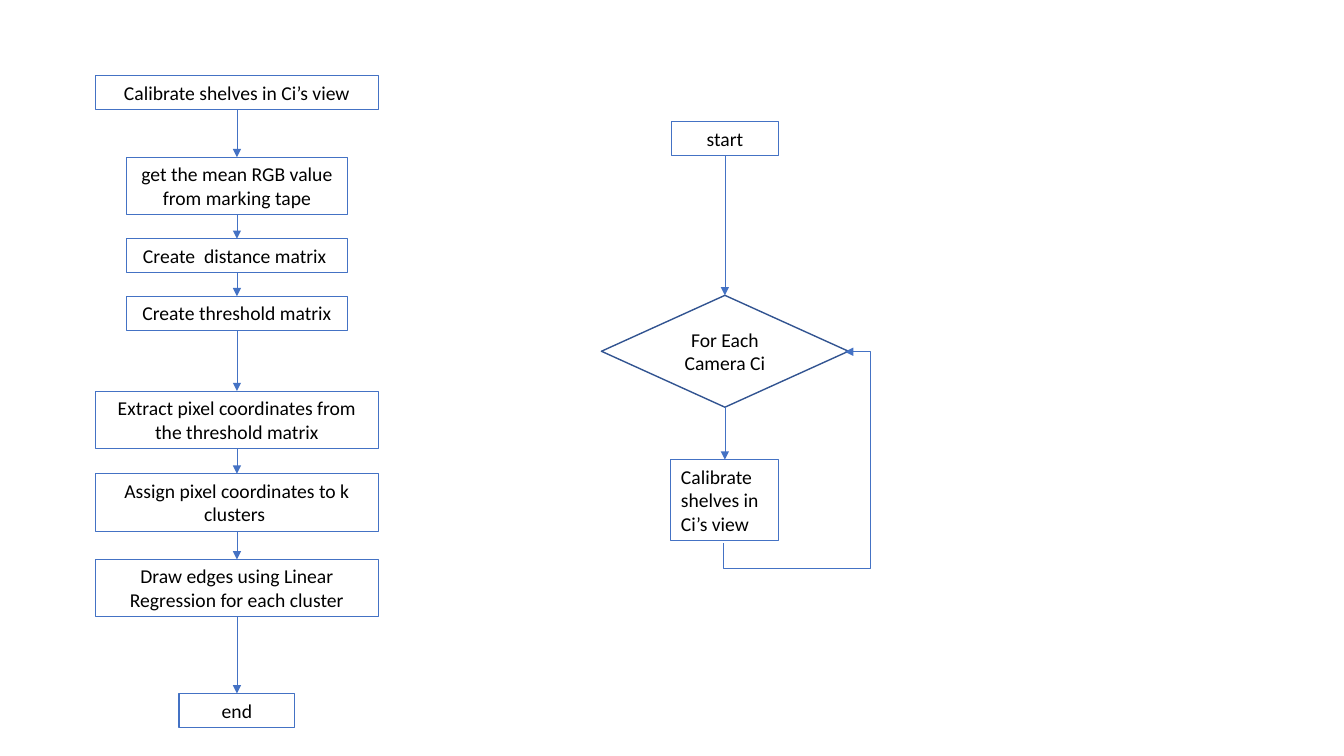
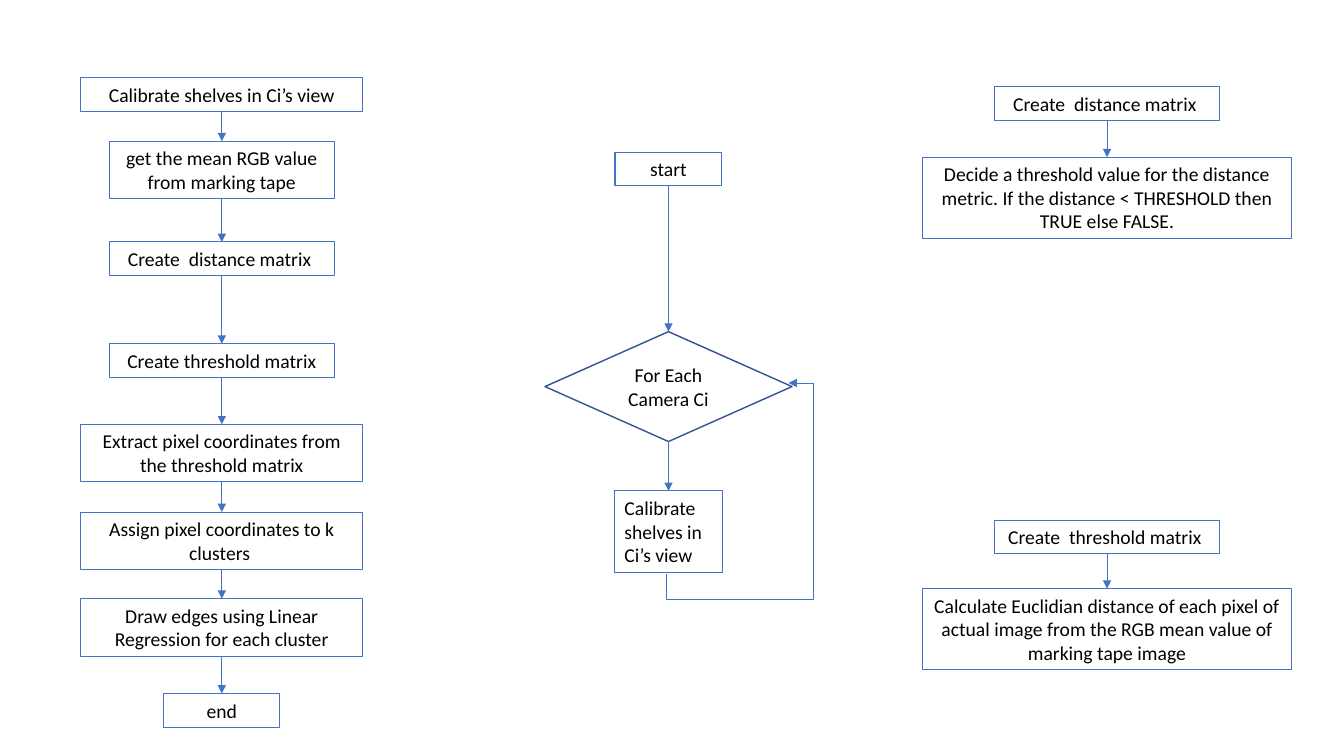
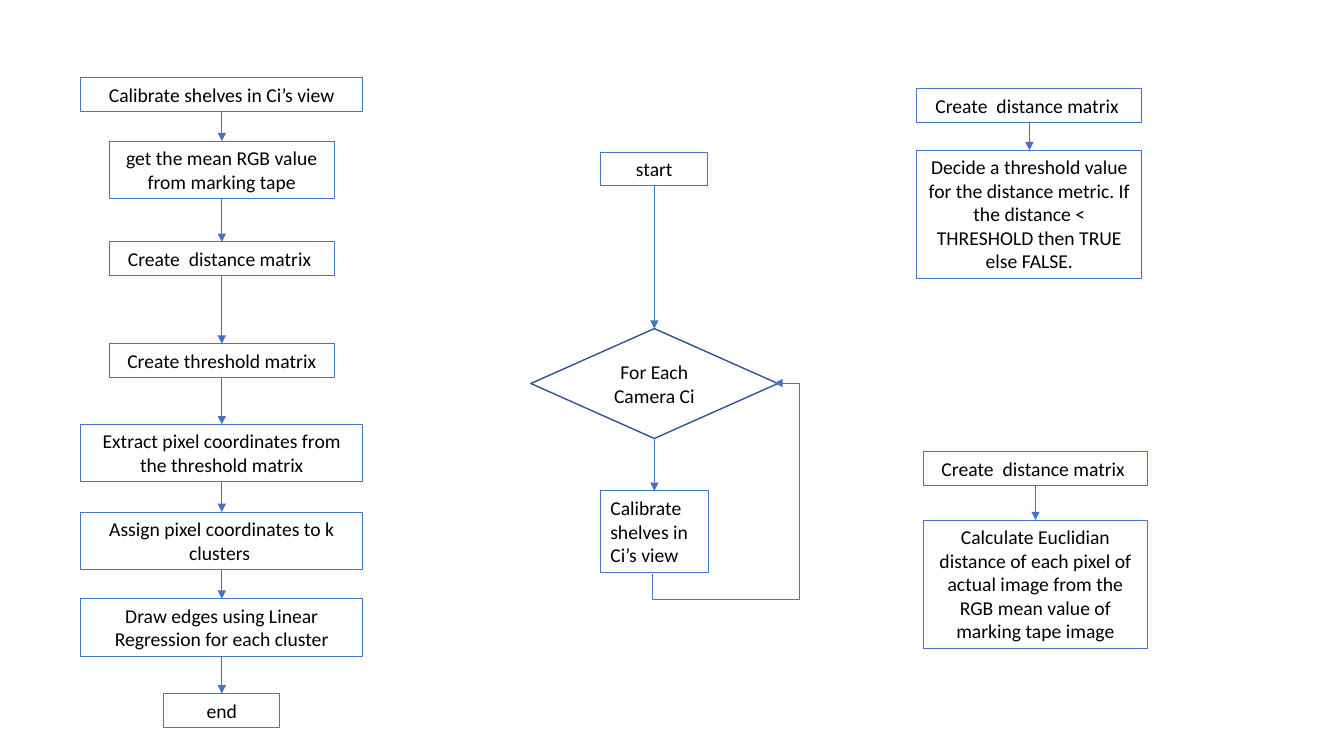
from lxml import etree
from pptx import Presentation
from pptx.dml.color import RGBColor
from pptx.enum.shapes import MSO_CONNECTOR, MSO_SHAPE
from pptx.enum.text import MSO_ANCHOR, MSO_AUTO_SIZE, PP_ALIGN
from pptx.oxml.ns import qn
from pptx.util import Inches, Pt

STRAIGHT, ELBOW = MSO_CONNECTOR.STRAIGHT, MSO_CONNECTOR.ELBOW
DECISION = MSO_SHAPE.FLOWCHART_DECISION
MIDDLE = MSO_ANCHOR.MIDDLE
GROW = MSO_AUTO_SIZE.SHAPE_TO_FIT_TEXT
LEFT, CENTER = PP_ALIGN.LEFT, PP_ALIGN.CENTER

# Shared style
FONT, SIZE = "Calibri", 14
BLUE, NAVY, WHITE, BLACK = "4472C4", "325491", "FFFFFF", "000000"
PADDING, LINE_HEIGHT = 0.1, 0.235
TOP_SITE, BOTTOM_SITE = 0, 2

# Wording; the number is the count of text lines
CALIBRATE = "Calibrate shelves in Ci’s view"
DISTANCE = "Create  distance matrix "
STEPS = [
    (CALIBRATE, 1),
    ("get the mean RGB value from marking tape", 2),
    (DISTANCE, 1),
    ("Create threshold matrix", 1),
    ("Extract pixel coordinates from the threshold matrix", 2),
    ("Assign pixel coordinates to k clusters ", 2),
    ("Draw edges using Linear Regression for each cluster", 2),
    ("end", 1),
]
DECIDE = ("Decide a threshold value for the distance metric. "
          "If the distance < THRESHOLD then TRUE else FALSE.")
CALCULATE = ("Calculate Euclidian distance of each pixel of actual image "
             "from the RGB mean value of marking tape image")


def color(value):
    return RGBColor.from_string(value)


def outline(sp, value, width):
    sp.line.color.rgb = color(value)
    sp.line.width = Pt(width)


def write(sp, text, align=CENTER):
    tf = sp.text_frame
    tf.word_wrap = True
    p = tf.paragraphs[0]
    p.text = text
    p.alignment = align
    p.font.name, p.font.size = FONT, Pt(SIZE)
    p.font.color.rgb = color(BLACK)
    return tf


def step_box(slide, cx, top, width, lines, text, align=CENTER):
    """Outlined text box centred on cx, as tall as its lines."""
    height = PADDING + LINE_HEIGHT * lines
    sp = slide.shapes.add_textbox(Inches(cx - width / 2), Inches(top),
                                  Inches(width), Inches(height))
    outline(sp, BLUE, 0.75)
    write(sp, text, align).auto_size = GROW
    return sp


def connector(slide, kind, x1, y1, x2, y2):
    """Thin blue connector with an arrowhead at its end."""
    cxn = slide.shapes.add_connector(
        kind, Inches(x1), Inches(y1), Inches(x2), Inches(y2))
    outline(cxn, BLUE, 0.5)
    etree.SubElement(cxn.line._get_or_add_ln(), qn("a:tailEnd"),
                     type="triangle")
    etree.SubElement(cxn._element.spPr, qn("a:effectLst"))
    return cxn


def arrow(slide, upper, lower):
    cxn = connector(slide, STRAIGHT, 0, 0, 1, 1)
    cxn.begin_connect(upper, BOTTOM_SITE)
    cxn.end_connect(lower, TOP_SITE)


def chain(slide, cx, steps):
    """Boxes below one another, each joined to the next."""
    boxes = [step_box(slide, cx, *step) for step in steps]
    for upper, lower in zip(boxes, boxes[1:]):
        arrow(slide, upper, lower)


def calibration_column(slide, cx, tops, detail_width):
    widths = [2.8] + [detail_width] * 3 + [2.8] * 3 + [1.15]
    chain(slide, cx, [(top, width, lines, text) for top, width, (text, lines)
                      in zip(tops, widths, STEPS)])


def return_path(slide, x, y, width=1.21, height=1.9):
    """Bent arrow from (x, y) down, round the right side and back up."""
    cx, cy = x + width / 2, y - height / 2
    # The frame is turned a quarter, so its sides change places
    cxn = connector(slide, ELBOW, cx + height / 2, cy + width / 2,
                    cx - height / 2, cy - width / 2)
    spPr = cxn._element.spPr
    spPr.find(qn("a:xfrm")).set("rot", "5400000")
    geom = spPr.find(qn("a:prstGeom"))
    geom.set("prst", "bentConnector4")
    guides = geom.find(qn("a:avLst"))
    for name, value in (("adj1", -13200), ("adj2", 120600)):
        etree.SubElement(guides, qn("a:gd"), name=name, fmla=f"val {value}")


def camera_loop(slide, cx, start_top, decision_top, body_top,
                decision_height=1.09):
    start = step_box(slide, cx, start_top, 1.06, 1, "start")
    body = step_box(slide, cx, body_top, 1.07, 3, CALIBRATE, LEFT)

    # Decision
    width = 2.45
    sp = slide.shapes.add_shape(
        DECISION, Inches(cx - width / 2), Inches(decision_top),
        Inches(width), Inches(decision_height))
    sp.shadow.inherit = False
    sp.fill.solid()
    sp.fill.fore_color.rgb = color(WHITE)
    outline(sp, NAVY, 1)
    write(sp, "For Each Camera Ci").vertical_anchor = MIDDLE

    # Flow
    arrow(slide, start, sp)
    arrow(slide, sp, body)
    return_path(slide, cx - 0.02, body_top + 0.83)


def main():
    prs = Presentation()
    prs.slide_width, prs.slide_height = Inches(13.33), Inches(7.5)
    blank = prs.slide_layouts[6]
    first, second, third = [prs.slides.add_slide(blank) for _ in range(3)]

    # Calibration steps
    calibration_column(first, 2.35, [0.75, 1.56, 2.37, 2.94, 3.88, 4.7,
                                     5.55, 6.88], 2.19)
    for slide in (second, third):
        calibration_column(slide, 2.2, [0.77, 1.4, 2.4, 3.41, 4.21, 5.08,
                                        5.94, 6.88], 2.23)

    # Loop over the cameras
    camera_loop(first, 7.19, 1.21, 2.93, 4.56, 1.11)
    camera_loop(second, 6.63, 1.51, 3.29, 4.87)
    camera_loop(third, 6.49, 1.51, 3.26, 4.87)

    # Details of the matrices
    chain(second, 10.98, [(0.86, 2.23, 1, DISTANCE), (1.56, 3.66, 3, DECIDE)])
    chain(second, 10.98, [(5.16, 2.23, 1, "Create  threshold matrix "),
                          (5.84, 3.66, 3, CALCULATE)])
    chain(third, 10.21, [(0.88, 2.23, 1, DISTANCE), (1.49, 2.23, 5, DECIDE)])
    chain(third, 10.27, [(4.48, 2.23, 1, DISTANCE), (5.16, 2.23, 5, CALCULATE)])

    prs.save("out.pptx")


if __name__ == "__main__":
    main()
